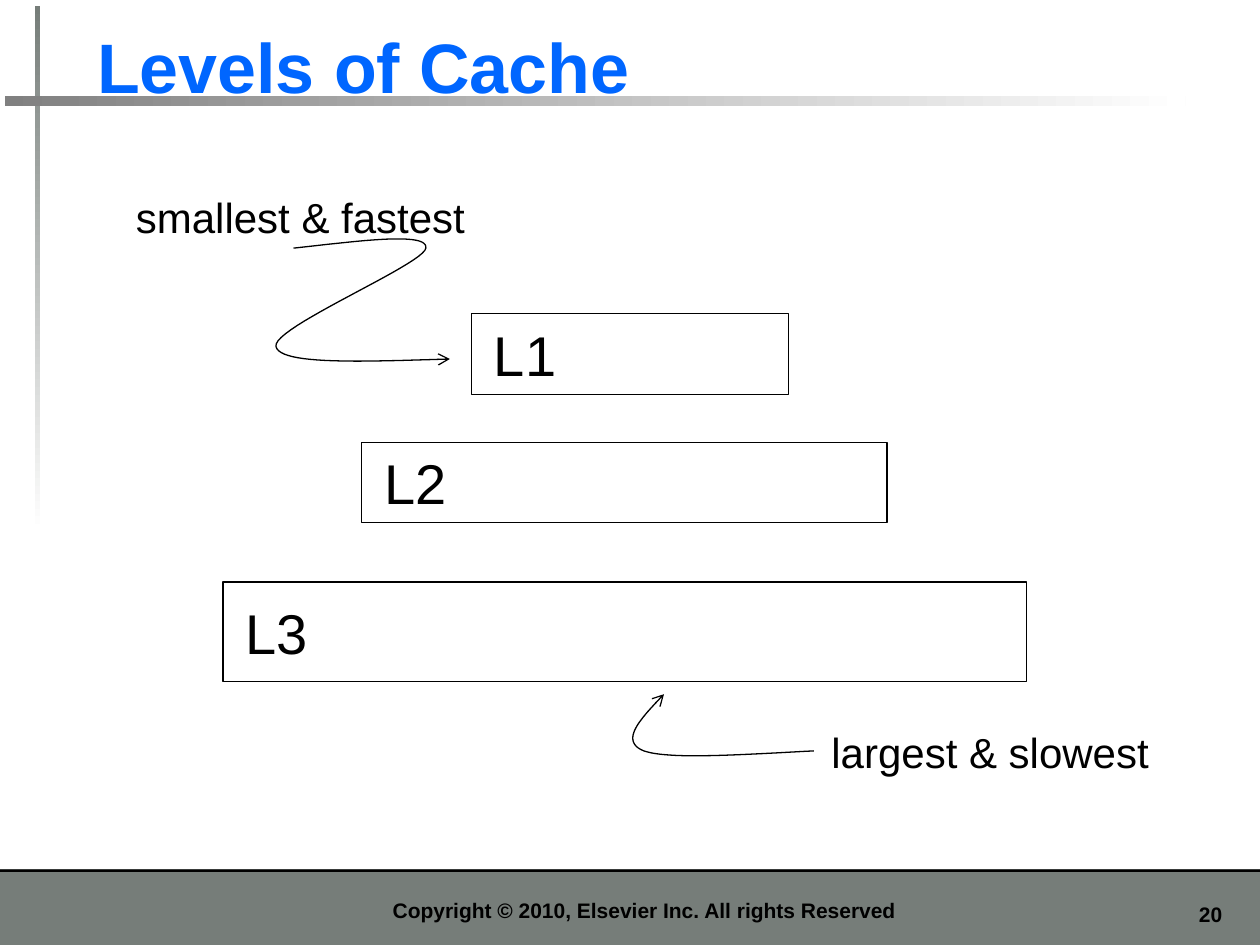
from pptx import Presentation
from pptx.dml.color import RGBColor
from pptx.enum.shapes import MSO_SHAPE as Shape
from pptx.enum.text import MSO_ANCHOR as Anchor, MSO_AUTO_SIZE as Fit, PP_ALIGN as Align
from pptx.util import Inches, Pt
from lxml.etree import SubElement

BLACK = RGBColor(0, 0, 0)
WHITE = RGBColor(255, 255, 255)
BLUE = RGBColor(0, 0x66, 0xFF)
SLATE = RGBColor(0x76, 0x7D, 0x79)
GRAY = RGBColor(0x80, 0x80, 0x80)
STEPS = 24


def inch(box):
    return [Inches(v) for v in box]


def write(frame, text, size, color=BLACK, bold=False, align=Align.LEFT, anchor=Anchor.TOP):
    frame.text = text
    frame.auto_size = Fit.NONE
    frame.vertical_anchor = anchor
    para = frame.paragraphs[0]
    para.alignment = align
    font = para.font
    font.name, font.size, font.bold = "Arial", Pt(size), bold
    font.color.rgb = color


def add_text(slide, box, text, size, wrap=True, **style):
    frame = slide.shapes.add_textbox(*inch(box)).text_frame
    write(frame, text, size, **style)
    frame.word_wrap = wrap


def add_rect(slide, box):
    rect = slide.shapes.add_shape(Shape.RECTANGLE, *inch(box))
    rect.shadow.inherit = False
    return rect


def add_band(slide, box, color):
    band = add_rect(slide, box)
    band.fill.solid()
    band.fill.fore_color.rgb = color
    band.line.fill.background()


def add_fade(slide, box, color, angle):
    rule = add_rect(slide, box)
    rule.line.fill.background()
    rule.fill.gradient()
    rule.fill.gradient_angle = angle
    for stop, tint in zip(rule.fill.gradient_stops, (color, WHITE)):
        stop.color.rgb = tint


def add_level(slide, box, name):
    bar = add_rect(slide, box)
    bar.fill.background()
    bar.line.color.rgb = BLACK
    bar.line.width = Pt(0.75)
    write(bar.text_frame, name, 32, anchor=Anchor.MIDDLE)
    bar.text_frame.margin_left = Inches(0.18)


def bezier(a, b, c, d, t):
    s = 1 - t
    return tuple(s**3 * p + 3 * s * s * t * q + 3 * s * t * t * r + t**3 * e
                 for p, q, r, e in zip(a, b, c, d))


def add_curve(slide, knots):
    dots = [bezier(*knots[i:i + 4], n / STEPS)
            for i in range(0, len(knots) - 1, 3) for n in range(1, STEPS + 1)]
    pen = slide.shapes.build_freeform(*inch(knots[0]))
    pen.add_line_segments([inch(dot) for dot in dots], close=False)
    curve = pen.convert_to_shape()
    curve.shadow.inherit = False
    curve.fill.background()
    curve.line.color.rgb = BLACK
    curve.line.width = Pt(0.75)
    line = curve.line.fill._xPr
    SubElement(line, line.tag.replace("}ln", "}tailEnd"), type="arrow")


def add_head(slide, box):
    add_fade(slide, (0.28, 0.05, 0.04, 4.17), SLATE, 270)
    add_fade(slide, (0.04, 0.76, 9.37, 0.08), GRAY, 0)
    title = slide.shapes.title
    title.left, title.top, title.width, title.height = inch(box)
    write(title.text_frame, "Levels of Cache", 40, color=BLUE, bold=True, anchor=Anchor.BOTTOM)


def add_foot(slide, box):
    left, top, width, height = box
    add_band(slide, box, SLATE)
    add_band(slide, (left, top, width, 0.02), BLACK)
    add_text(slide, (left + 1.14, top + 0.08, 7.95, 0.39),
             "Copyright © 2010, Elsevier Inc. All rights Reserved", 12,
             bold=True, align=Align.CENTER, anchor=Anchor.BOTTOM)
    add_text(slide, (left + 9.17, top + 0.21, 0.63, 0.3), "20", 12, bold=True, align=Align.RIGHT)


def add_stack(slide):
    add_level(slide, (3.74, 2.49, 2.52, 0.64), "L1")
    add_level(slide, (2.87, 3.51, 4.17, 0.64), "L2")
    add_level(slide, (1.77, 4.62, 6.38, 0.79), "L3")


def add_notes(slide):
    add_text(slide, (0.98, 1.47, 2.84, 0.5), "smallest & fastest", 24, wrap=False)
    add_curve(slide, [(2.33, 1.97), (2.87, 1.91), (3.4, 1.84), (3.38, 1.97),
                      (3.36, 2.1), (2.16, 2.6), (2.19, 2.75),
                      (2.22, 2.9), (2.9, 2.87), (3.57, 2.85)])
    add_text(slide, (6.5, 5.72, 2.75, 0.51), "largest & slowest", 24, wrap=False)
    add_curve(slide, [(6.46, 5.96), (5.88, 5.99), (5.31, 6.03), (5.11, 5.96),
                      (4.91, 5.88), (5.09, 5.7), (5.27, 5.51)])


def main():
    deck = Presentation()
    deck.slide_width, deck.slide_height = Inches(10), Inches(7.5)
    slide = deck.slides.add_slide(deck.slide_layouts[5])
    add_foot(slide, (0, 6.9, 10, 0.6))
    add_head(slide, (0.67, 0.13, 9.06, 0.77))
    add_stack(slide)
    add_notes(slide)
    deck.save("out.pptx")


if __name__ == "__main__":
    main()
